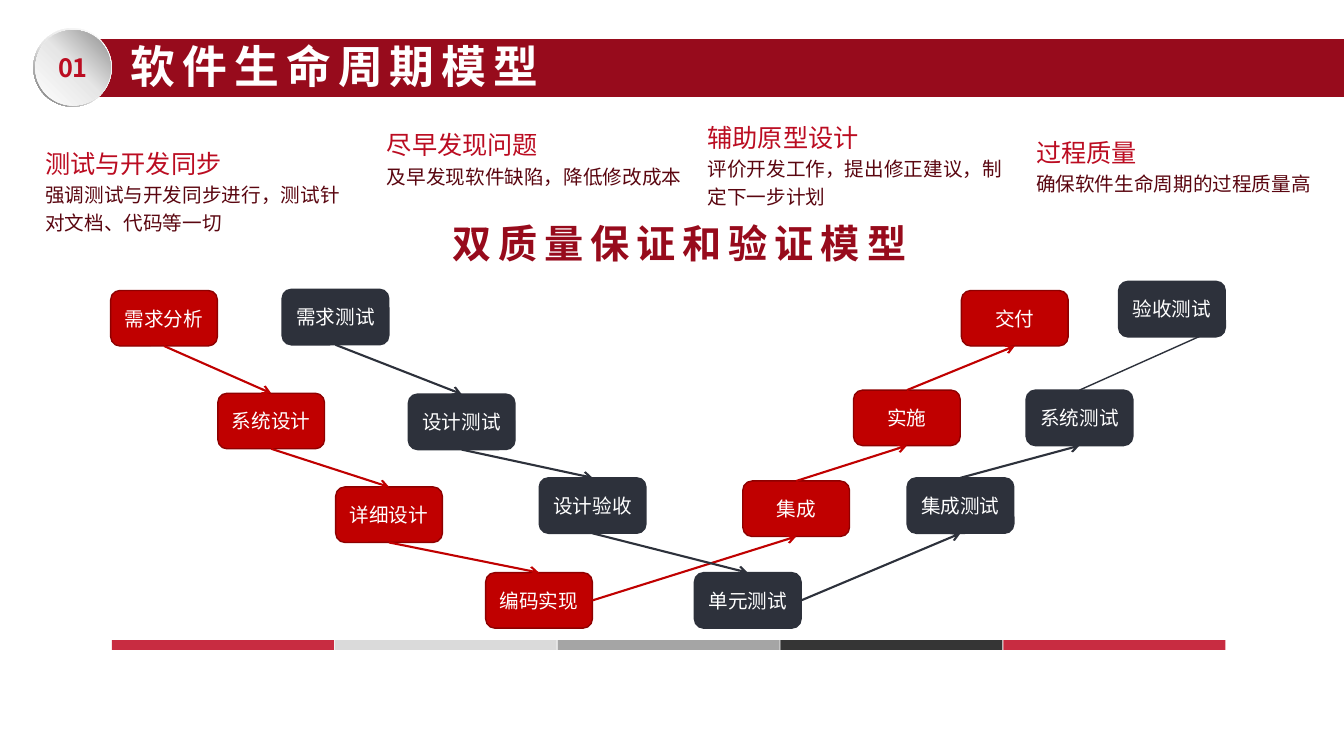
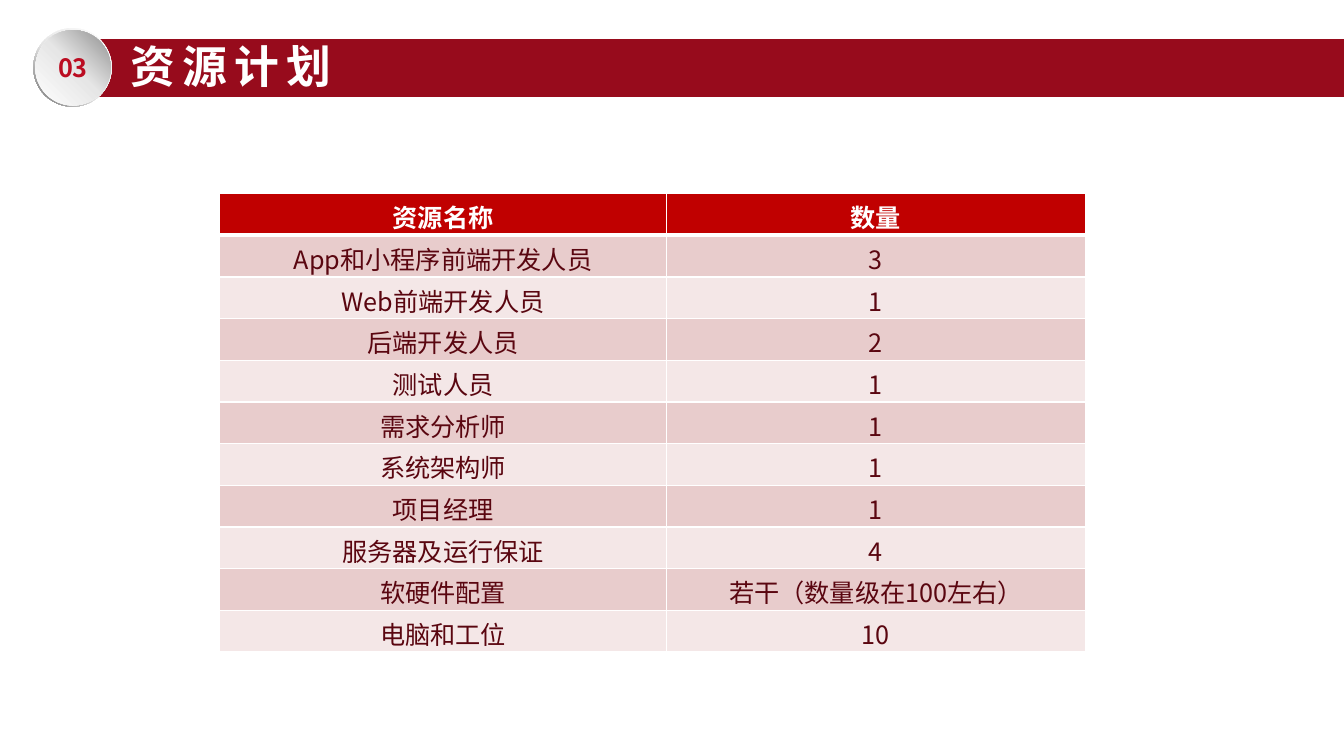
from itertools import pairwise

from lxml import etree
from pptx import Presentation
from pptx import util as u
from pptx.dml.color import RGBColor
from pptx.enum import shapes, text
from pptx.oxml.ns import qn

Cm, Pt = u.Cm, u.Pt
MS = shapes.MSO_SHAPE
FONT = "Noto Sans CJK SC"
COLORS = {
    "band": "970B1C", "accent": "BB0C21", "body": "5A0610", "white": "FFFFFF",
    "red": "C00000", "red_edge": "8E0000", "dark": "2D313B",
    "row_odd": "E8CCCC", "row_even": "F4E7E7",
    "silver": "E6E6E6", "rim_end": "6C6C6C", "disc_end": "8F8F8F",
    "strip_red": "C82C41", "strip_light": "DADADA", "strip_mid": "A5A5A5",
    "strip_dark": "353535",
}
# Text styles: font attributes plus colour and letter spacing in points
STYLES = {
    "title": dict(size=Pt(32), bold=True, color="white", spacing=5),
    "subtitle": dict(size=Pt(28), bold=True, color="band", spacing=5),
    "number": dict(size=Pt(18), bold=True, color="accent"),
    "heading": dict(size=Pt(18), color="accent"),
    "detail": dict(size=Pt(14), color="body"),
    "node": dict(size=Pt(14), color="white"),
    "table_head": dict(size=Pt(18), bold=True, color="white"),
    "table_body": dict(size=Pt(18), bold=False, color="body"),
}
CENTER = dict(alignment=text.PP_ALIGN.CENTER)
NODE_W, NODE_H = 2.69, 1.4
TOP, BOTTOM, RIGHT = 0, 2, 3  # connection sites of a node


def rgb(name):
    return RGBColor.from_string(COLORS[name])


def sub(parent, tag, **attrs):
    return etree.SubElement(parent, qn(tag), attrs)


# ---- basic parts ----
def write(p, words, style, **para):
    """Put one styled run in a paragraph."""
    for key, value in para.items():
        setattr(p, key, value)
    r = p.add_run()
    r.text = words
    fmt = dict(STYLES[style])
    r.font.color.rgb = rgb(fmt.pop("color"))
    spacing = fmt.pop("spacing", None)
    for key, value in dict(fmt, name=FONT).items():
        setattr(r.font, key, value)
    rPr = r.font._element
    sub(rPr, "a:ea", typeface=FONT)
    if spacing:
        rPr.set("spc", str(spacing * 100))


def add_text(s, box, lines, **para):
    tf = s.shapes.add_textbox(*map(Cm, box)).text_frame
    tf.word_wrap = True
    for i, (words, style) in enumerate(lines):
        p = tf.add_paragraph() if i else tf.paragraphs[0]
        write(p, words, style, **para)


def add_shape(s, kind, box, fill=None, line=None):
    sp = s.shapes.add_shape(kind, *map(Cm, box))
    sp.shadow.inherit = False
    if fill:
        sp.fill.solid()
        sp.fill.fore_color.rgb = rgb(fill)
    if line:
        sp.line.color.rgb = rgb(line)
        sp.line.width = Pt(1)
    else:
        sp.line.fill.background()
    return sp


def label(sp, words, style):
    tf = sp.text_frame
    tf.margin_left = tf.margin_right = 0
    tf.vertical_anchor = text.MSO_ANCHOR.MIDDLE
    write(tf.paragraphs[0], words, style, **CENTER)


def gradient(sp, stops, angle):
    """Linear gradient; the angle runs clockwise from the right."""
    sp.fill.gradient()
    sp.fill.gradient_angle = 360 - angle
    stop_list = next(sp._element.spPr.iter(qn("a:gsLst")))
    for old in list(stop_list):
        stop_list.remove(old)
    for pos, name in stops:
        gs = sub(stop_list, "a:gs", pos=str(pos * 1000))
        sub(gs, "a:srgbClr", val=COLORS[name])


def add_line(s, color, width, start, end, arrow=True):
    """Each end is a (node, site) pair or an (x, y) point in cm."""
    cx = s.shapes.add_connector(shapes.MSO_CONNECTOR.STRAIGHT, 0, 0, 0, 0)
    cx.begin_connect(*start)
    if arrow:
        cx.end_connect(*end)
    else:
        cx.end_x, cx.end_y = map(Cm, end)
    cx.line.color.rgb = rgb(color)
    cx.line.width = Pt(width)
    if arrow:
        sub(cx.line._get_or_add_ln(), "a:tailEnd", type="arrow")
    sub(cx._element.spPr, "a:effectLst")


# ---- shared header ----
def header(s, number, title):
    add_shape(s, MS.RECTANGLE, (2.01, 0.99, 31.86, 1.45), "band")
    add_text(s, (3.05, 0.84, 12, 1.63), [(title, "title")])
    rim = add_shape(s, MS.DONUT, (0.84, 0.71, 1.98, 1.98))
    rim.adjustments[0] = 0.05
    gradient(rim, [(0, "white"), (55, "silver"), (100, "rim_end")], 135)
    disc = add_shape(s, MS.OVAL, (0.89, 0.76, 1.9, 1.9))
    gradient(disc, [(0, "white"), (51, "silver"), (100, "disc_end")], 315)
    label(disc, number, "number")


# ---- life cycle slide ----
FEATURES = [
    (0.89, 3.66, "测试与开发同步", "强调测试与开发同步进行，测试针对文档、代码等一切"),
    (9.5, 3.2, "尽早发现问题", "及早发现软件缺陷，降低修改成本"),
    (17.58, 3.02, "辅助原型设计", "评价开发工作，提出修正建议，制定下一步计划"),
    (25.86, 3.38, "过程质量", "确保软件生命周期的过程质量高"),
]
DEVELOPMENT = [
    ("需求分析", 2.79, 7.32), ("系统设计", 5.49, 9.91), ("详细设计", 8.46, 12.27),
    ("编码实现", 12.24, 14.43), ("集成", 18.72, 12.12), ("实施", 21.51, 9.83),
    ("交付", 24.23, 7.32),
]
TESTING = [
    ("需求测试", 7.11, 7.29), ("设计测试", 10.29, 9.93), ("设计验收", 13.59, 12.04),
    ("单元测试", 17.5, 14.43), ("集成测试", 22.86, 12.04), ("系统测试", 25.86, 9.83),
    ("验收测试", 28.19, 7.09),
]


def strip(s, x, y, w, h):
    names = ["strip_red", "strip_light", "strip_mid", "strip_dark", "strip_red"]
    pitch = w / len(names)
    for i, name in enumerate(names):
        add_shape(s, MS.RECTANGLE, (x + i * pitch, y, pitch - 0.02, h), name)


def v_branch(s, steps, fill, edge, loose_end=None):
    """Nodes down to the middle step and up again, joined in order."""
    nodes = []
    for words, x, y in steps:
        sp = add_shape(s, MS.ROUNDED_RECTANGLE, (x, y, NODE_W, NODE_H), fill, edge)
        label(sp, words, "node")
        nodes.append(sp)
    turn = len(nodes) // 2
    for i, (a, b) in enumerate(pairwise(nodes)):
        if i < turn:
            start, end = (a, BOTTOM), (b, TOP)
        else:
            start, end = (a, RIGHT if i == turn else TOP), (b, BOTTOM)
        if loose_end and b is nodes[-1]:
            add_line(s, fill, 1, start, loose_end, arrow=False)
        else:
            add_line(s, fill, 1.5, start, end)


def life_cycle_slide(s):
    header(s, "01", "软件生命周期模型")
    strip(s, 2.82, 16.13, 28.08, 0.25)
    v_branch(s, DEVELOPMENT, "red", "red_edge")
    v_branch(s, TESTING, "dark", "dark", loose_end=(30.38, 8.41))
    add_text(s, (11.15, 5.41, 12.34, 1.45), [("双质量保证和验证模型", "subtitle")])
    for x, y, head, detail in FEATURES:
        add_text(s, (x, y, 8, 2.4), [(head, "heading"), (detail, "detail")],
                 line_spacing=Pt(20))


# ---- resource slide ----
RESOURCES = [
    ("资源名称", "数量"),
    ("App和小程序前端开发人员", "3"),
    ("Web前端开发人员", "1"),
    ("后端开发人员", "2"),
    ("测试人员", "1"),
    ("需求分析师", "1"),
    ("系统架构师", "1"),
    ("项目经理", "1"),
    ("服务器及运行保证", "4"),
    ("软硬件配置", "若干（数量级在100左右）"),
    ("电脑和工位", "10"),
]


def borders(cell, **widths):
    """White cell edges, widths in points; they go before the fill."""
    tcPr = cell._tc.get_or_add_tcPr()
    for i, (side, width) in enumerate(widths.items()):
        ln = etree.Element(qn("a:" + side), w=str(Pt(width)))
        sub(sub(ln, "a:solidFill"), "a:srgbClr", val=COLORS["white"])
        tcPr.insert(i, ln)


def resource_table(s, x, y, col_widths, row_h):
    box = (x, y, sum(col_widths), row_h * len(RESOURCES))
    tbl = s.shapes.add_table(len(RESOURCES), len(col_widths), *map(Cm, box)).table
    for col, width in zip(tbl.columns, col_widths):
        col.width = Cm(width)
    for i, values in enumerate(RESOURCES):
        tbl.rows[i].height = Cm(row_h)
        fill = "red" if i == 0 else "row_odd" if i % 2 else "row_even"
        style = "table_body" if i else "table_head"
        for cell, words in zip(tbl.rows[i].cells, values):
            cell.fill.solid()
            cell.fill.fore_color.rgb = rgb(fill)
            borders(cell, lnL=1, lnR=1, lnT=3 if i == 1 else 1, lnB=1 if i else 3)
            write(cell.text_frame.paragraphs[0], words, style, **CENTER)


def resource_slide(s):
    header(s, "03", "资源计划")
    resource_table(s, 5.54, 4.88, (11.25, 10.57), 1.05)


def main():
    prs = Presentation()
    prs.slide_width, prs.slide_height = Cm(33.87), Cm(19.05)
    for build in (life_cycle_slide, resource_slide):
        build(prs.slides.add_slide(prs.slide_layouts[6]))
    prs.save("out.pptx")


if __name__ == "__main__":
    main()
